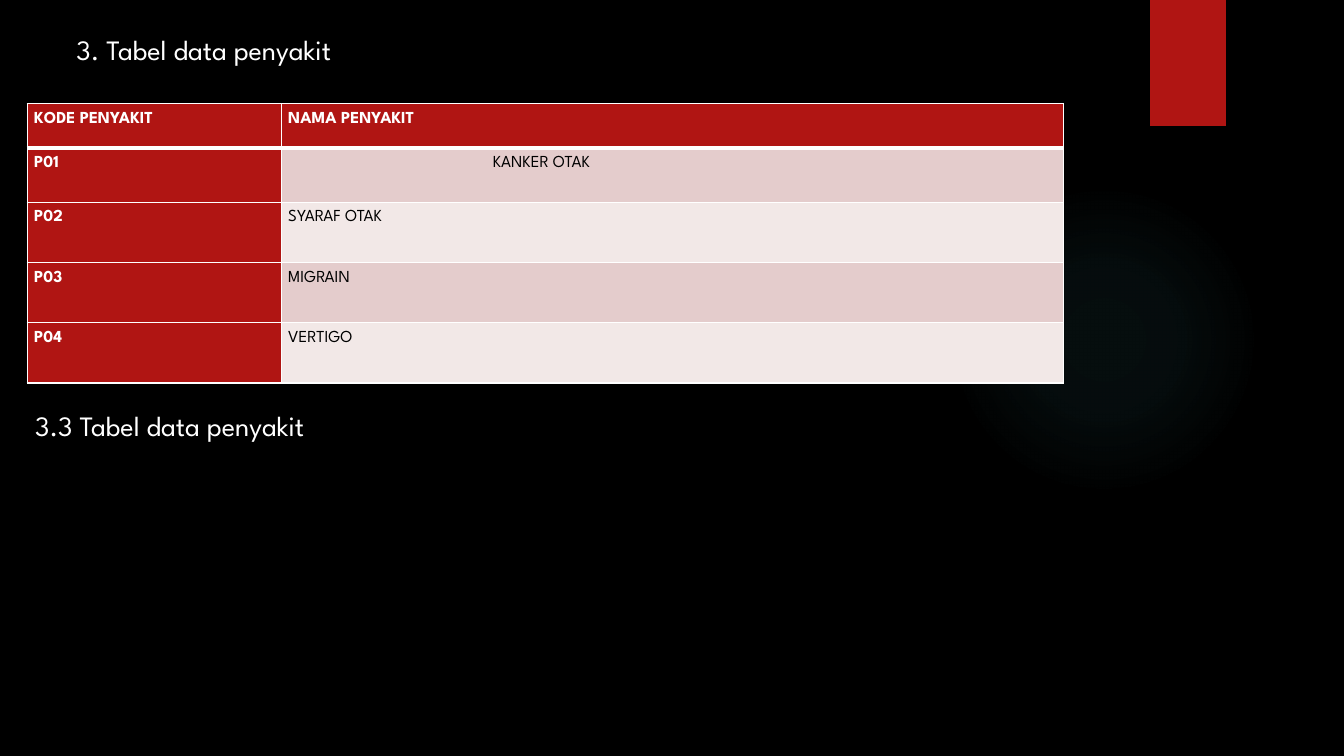
from dataclasses import dataclass

from lxml import etree
from pptx import Presentation
from pptx.dml.color import RGBColor
from pptx.enum.shapes import MSO_SHAPE
from pptx.enum.text import MSO_ANCHOR, PP_ALIGN
from pptx.oxml import parse_xml
from pptx.oxml.ns import qn
from pptx.slide import Slide
from pptx.table import _Cell
from pptx.text.text import _Paragraph
from pptx.util import Pt

ELLIPSE = MSO_SHAPE.OVAL
RECTANGLE = MSO_SHAPE.RECTANGLE
TOP = MSO_ANCHOR.TOP
LEFT = PP_ALIGN.LEFT
JUSTIFY = PP_ALIGN.JUSTIFY

FONT = "League Spartan"
DRAWING = "http://schemas.openxmlformats.org/drawingml/2006/main"
COLORS = {
    "background": "000000",
    "glow": "50B9C1",
    "accent": "B01513",
    "light": "FFFFFF",
    "dark": "000000",
    "odd_row": "E4CCCC",
    "even_row": "F2E8E7",
}
GLOW_STOPS = ((0, 7), (36, 6), (69, 0))
COLUMN_WIDTHS = (181.44, 558.72)
ROW_HEIGHTS = (31.5, 39, 43, 43, 43)
HEADER = ("KODE PENYAKIT", "NAMA PENYAKIT")


@dataclass(frozen=True)
class Heading:
    text: str
    left: float
    top: float
    width: float
    height: float
    margin: float = 0


@dataclass(frozen=True)
class Disease:
    code: str
    name: str
    indent: float = 0


HEADINGS = (
    Heading("3. Tabel data penyakit", 11.52, 19.44, 740.88, 110.16, margin=36),
    Heading("3.3 Tabel data penyakit", 18, 288, 246, 31.68),
)
DISEASES = (
    Disease("P01", "KANKER OTAK", indent=146.16),
    Disease("P02", "SYARAF OTAK"),
    Disease("P03", "MIGRAIN"),
    Disease("P04", "VERTIGO"),
)


def rgb(name: str) -> RGBColor:
    return RGBColor.from_string(COLORS[name])


def format_spans(para: _Paragraph, size: float, color: str, bold: bool = False) -> None:
    for span in para.runs:
        span.font.name = FONT
        span.font.size = Pt(size)
        span.font.bold = bold
        span.font.color.rgb = rgb(color)


def add_glow(page: Slide) -> None:
    glow = page.shapes.add_shape(ELLIPSE, Pt(677.5), Pt(131.76), Pt(221.76), Pt(221.76))
    glow.shadow.inherit = False
    glow.line.fill.background()
    stops = "".join(
        f'<a:gs pos="{position * 1000}"><a:srgbClr val="{COLORS["glow"]}">'
        f'<a:alpha val="{opacity * 1000}"/></a:srgbClr></a:gs>'
        for position, opacity in GLOW_STOPS
    )
    gradient = parse_xml(
        f'<a:gradFill xmlns:a="{DRAWING}" rotWithShape="1"><a:gsLst>{stops}</a:gsLst>'
        '<a:path path="circle"><a:fillToRect l="50000" t="50000" r="50000" b="50000"/>'
        "</a:path></a:gradFill>"
    )
    glow._element.spPr.find(qn("a:prstGeom")).addnext(gradient)


def add_ribbon(page: Slide) -> None:
    ribbon = page.shapes.add_shape(RECTANGLE, Pt(821.6), Pt(0), Pt(54), Pt(90))
    ribbon.shadow.inherit = False
    ribbon.fill.solid()
    ribbon.fill.fore_color.rgb = rgb("accent")
    ribbon.line.fill.background()


def add_heading(page: Slide, heading: Heading) -> None:
    box = page.shapes.add_textbox(
        Pt(heading.left), Pt(heading.top), Pt(heading.width), Pt(heading.height)
    )
    frame = box.text_frame
    frame.word_wrap = True
    frame.vertical_anchor = TOP
    frame.text = heading.text
    para = frame.paragraphs[0]
    para.alignment = LEFT
    para._p.get_or_add_pPr().set("marL", str(Pt(heading.margin)))
    format_spans(para, 20, "light")


def add_border(cell: _Cell, side: str, width: float) -> None:
    properties = cell._tc.get_or_add_tcPr()
    line = etree.SubElement(properties, qn(f"a:ln{side}"), w=str(Pt(width)))
    fill = etree.SubElement(line, qn("a:solidFill"))
    etree.SubElement(fill, qn("a:srgbClr"), val=COLORS["light"])


def fill_cell(
    cell: _Cell, text: str, fill: str, color: str, bold: bool,
    top: float, bottom: float, indent: float = 0,
) -> None:
    for side, width in (("L", 1), ("R", 1), ("T", top), ("B", bottom)):
        add_border(cell, side, width)
    cell.fill.solid()
    cell.fill.fore_color.rgb = rgb(fill)
    cell.margin_left = cell.margin_right = Pt(5.04)
    cell.margin_top = cell.margin_bottom = Pt(0)
    cell.vertical_anchor = TOP
    cell.text_frame.text = text
    para = cell.text_frame.paragraphs[0]
    para.alignment = JUSTIFY
    para.line_spacing = 1.5
    para._p.get_or_add_pPr().set("indent", str(Pt(indent)))
    format_spans(para, 12, color, bold)


def add_disease_table(page: Slide) -> None:
    table = page.shapes.add_table(
        len(ROW_HEIGHTS), len(COLUMN_WIDTHS), Pt(19.44), Pt(74.16),
        Pt(sum(COLUMN_WIDTHS)), Pt(sum(ROW_HEIGHTS)),
    ).table
    table.first_col = True
    for column, width in zip(table.columns, COLUMN_WIDTHS):
        column.width = Pt(width)
    for row, height in zip(table.rows, ROW_HEIGHTS):
        row.height = Pt(height)
    for column, label in enumerate(HEADER):
        fill_cell(table.cell(0, column), label, "accent", "light", True, 1, 3)
    for row, disease in enumerate(DISEASES, start=1):
        top = 3 if row == 1 else 1
        band = "odd_row" if row % 2 else "even_row"
        fill_cell(table.cell(row, 0), disease.code, "accent", "light", True, top, 1)
        fill_cell(
            table.cell(row, 1), disease.name, band, "dark", False, top, 1, disease.indent
        )


def main() -> None:
    deck = Presentation()
    deck.slide_width = Pt(960)
    deck.slide_height = Pt(540)
    page = deck.slides.add_slide(deck.slide_layouts[6])
    page.background.fill.solid()
    page.background.fill.fore_color.rgb = rgb("background")
    add_glow(page)
    add_ribbon(page)
    add_disease_table(page)
    for heading in HEADINGS:
        add_heading(page, heading)
    deck.save("out.pptx")


if __name__ == "__main__":
    main()
